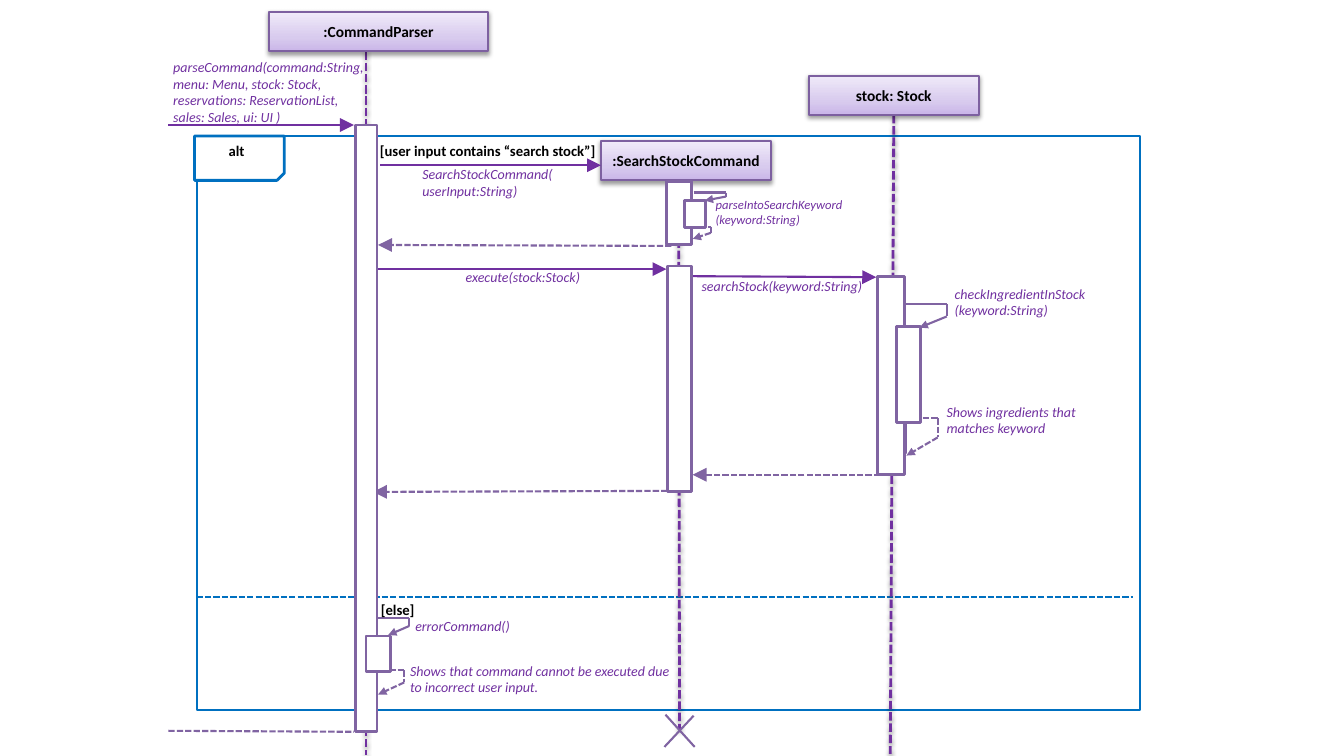
"""Build a sequence diagram of the search stock command."""
from lxml import etree
from pptx import Presentation
from pptx.dml.color import RGBColor
from pptx.enum.dml import MSO_LINE
from pptx.enum.shapes import MSO_CONNECTOR, MSO_SHAPE
from pptx.enum.text import MSO_ANCHOR, PP_ALIGN
from pptx.oxml import parse_xml
from pptx.oxml.ns import nsdecls, qn
from pptx.util import Inches, Pt

STRAIGHT = MSO_CONNECTOR.STRAIGHT
RECTANGLE, SNIPPED = MSO_SHAPE.RECTANGLE, MSO_SHAPE.SNIP_1_RECTANGLE
DASH = MSO_LINE.SQUARE_DOT
MIDDLE, TOP, CENTER = MSO_ANCHOR.MIDDLE, MSO_ANCHOR.TOP, PP_ALIGN.CENTER
BOTTOM_SIDE = 0 + 2

WHITE = RGBColor(0xFF, 0xFF, 0xFF)
BLACK = RGBColor(0x00, 0x00, 0x00)
BLUE = RGBColor(0x00, 0x70, 0xC0)
PURPLE = RGBColor(0x70, 0x30, 0xA0)
MAUVE = RGBColor(0x80, 0x64, 0xA2)
HEAD_EDGE = RGBColor(0x7D, 0x60, 0xA0)
HEAD_STOPS = [(0, RGBColor(0xC9, 0xB5, 0xE8)), (35, RGBColor(0xD8, 0xCB, 0xEE)),
              (100, RGBColor(0xF0, 0xEA, 0xF9))]

FRAME = (1.95, 1.35, 9.36, 5.69)
FRAME_TAB = (1.93, 1.35, 0.89, 0.44)
ELSE_DIVIDER = (1.95, 5.92, 11.24, 5.92)
FRAME_LABELS = [
    ("alt", 2.17, 1.32, 0.6),
    ("[user input contains “search stock”]", 3.67, 1.32, 2.5),
    ("[else]", 3.68, 5.87, 0.7),
]
PARTICIPANTS = [
    (":CommandParser", (2.67, 0.12, 2.17, 0.39), (3.63, 0.51, 3.63, 7.49)),
    (":SearchStockCommand", (5.96, 1.4, 1.69, 0.39), (6.73, 1.48, 6.74, 7.24)),
    ("stock: Stock", (8.02, 0.75, 1.69, 0.39), (8.86, 1.14, 8.83, 7.48)),
]
CALLS = [(1.67, 1.24, 3.51, 1.24), (3.77, 1.64, 5.96, 1.64),
         (3.74, 2.67, 6.61, 2.67), (6.86, 2.74, 8.69, 2.75)]
RETURNS = [(6.66, 2.44, 3.75, 2.43), (8.73, 4.71, 6.87, 4.71),
           (6.62, 4.87, 3.7, 4.88)]
FINAL_RETURN = (1.67, 7.25, 3.51, 7.26)
DESTRUCTION = [(6.89, 7.41, 6.6, 7.09), (6.88, 7.1, 6.59, 7.41)]
NESTED_EDGE = (8.97, 3.15, 8.98, 4.5)
SELF_CALLS = [
    (6.88, 1.91, 7.2, 1.95, 6.99, 1.99),
    (8.97, 3.02, 9.39, 3.14, 9.12, 3.25),
    (3.74, 6.13, 4.06, 6.21, 3.85, 6.3),
]
SELF_RETURNS = [
    (6.77, 2.25, 7.05, 2.31, 6.87, 2.37),
    (8.82, 4.15, 9.3, 4.34, 8.99, 4.52),
    (3.61, 6.65, 4.01, 6.77, 3.75, 6.89),
]
ACTIVATIONS = [
    (3.53, 1.24, 0.21, 6.02), (3.63, 6.31, 0.24, 0.35),
    (6.61, 1.8, 0.25, 0.63), (6.79, 1.99, 0.21, 0.27),
    (6.62, 2.64, 0.24, 2.24),
    (8.7, 2.74, 0.27, 1.97), (8.89, 3.24, 0.24, 0.95),
]
MESSAGE_LABELS = [
    ("parseCommand(command:String, menu: Menu, stock: Stock, "
     "reservations: ReservationList, sales: Sales, ui: UI )",
     (1.62, 0.53, 2.14, 0.77), 10),
    ("SearchStockCommand(userInput:String)", (4.09, 1.59, 1.51, 0.44), 10),
    ("parseIntoSearchKeyword(keyword:String)", (7, 1.9, 1.47, 0.4), 9),
    ("execute(stock:Stock)", (4.52, 2.61, 1.38, 0.27), 10),
    ("searchStock(keyword:String)", (6.86, 2.7, 1.81, 0.27), 10),
    ("checkIngredientInStock(keyword:String)", (9.37, 2.78, 1.51, 0.44), 10),
    ("Shows ingredients that matches keyword", (9.29, 3.95, 1.81, 0.44), 10),
    ("errorCommand()", (4.02, 6.08, 1.75, 0.27), 10),
    ("Shows that command cannot be executed due to incorrect user input.",
     (3.97, 6.52, 2.77, 0.44), 10),
]


def add_shadow(effects):
    effects.append(parse_xml(
        f'<a:outerShdw {nsdecls("a")} blurRad="40000" dist="20000" dir="5400000" '
        'rotWithShape="0"><a:srgbClr val="000000"><a:alpha val="38000"/>'
        '</a:srgbClr></a:outerShdw>'))


def add_line(page, ends, color, width=1.5, dashed=False, arrow=None, shadow=False):
    line = page.shapes.add_connector(STRAIGHT, *map(Inches, ends))
    line.line.color.rgb = color
    line.line.width = Pt(width)
    if dashed:
        line.line.dash_style = DASH
    if arrow:
        etree.SubElement(line.line._get_or_add_ln(), qn("a:tailEnd"),
                         type="triangle", w=arrow, len=arrow)
    effects = etree.SubElement(line._element.spPr, qn("a:effectLst"))
    if shadow:
        add_shadow(effects)
    return line


def add_outline(page, place, color, width, kind=RECTANGLE):
    shape = page.shapes.add_shape(kind, *map(Inches, place))
    shape.shadow.inherit = False
    shape.fill.solid()
    shape.fill.fore_color.rgb = WHITE
    shape.line.color.rgb = color
    shape.line.width = Pt(width)
    return shape


def write(shape, text, size, color, bold=False, italic=False, anchor=TOP):
    frame = shape.text_frame
    frame.word_wrap = True
    frame.vertical_anchor = anchor
    para = frame.paragraphs[0]
    para.text = text
    font = para.font
    font.name, font.size, font.color.rgb = "Calibri", Pt(size), color
    font.bold, font.italic = bold, italic
    return para


def add_label(page, text, place, size, color, **style):
    box = page.shapes.add_textbox(*map(Inches, place))
    write(box, text, size, color, **style)


def add_head(page, name, place):
    head = add_outline(page, place, HEAD_EDGE, 1.5)
    stops = "".join(f'<a:gs pos="{percent * 1000}"><a:srgbClr val="{color}"/></a:gs>'
                    for percent, color in HEAD_STOPS)
    gradient = parse_xml(f'<a:gradFill {nsdecls("a")} rotWithShape="1"><a:gsLst>{stops}'
                         '</a:gsLst><a:lin ang="16200000" scaled="0"/></a:gradFill>')
    properties = head._element.spPr
    properties.replace(properties.find(qn("a:solidFill")), gradient)
    add_shadow(properties.find(qn("a:effectLst")))
    write(head, name, 11, BLACK, bold=True, anchor=MIDDLE).alignment = CENTER
    return head


def add_self_message(page, points, dashed):
    start, top, corner, turn, tip, end = points
    add_line(page, (start, top, corner, top), MAUVE, dashed=dashed)
    add_line(page, (corner, top, corner, turn), MAUVE, dashed=dashed)
    add_line(page, (corner, turn, tip, end), MAUVE, dashed=dashed, arrow="med")


def main():
    deck = Presentation()
    deck.slide_width, deck.slide_height = Inches(13.33), Inches(7.5)
    page = deck.slides.add_slide(deck.slide_layouts[6])

    add_outline(page, FRAME, BLUE, 1.5)
    tab = add_outline(page, FRAME_TAB, BLUE, 2, SNIPPED)
    tab._element.spPr.find(qn("a:xfrm")).set("flipV", "1")
    add_line(page, ELSE_DIVIDER, BLUE, dashed=True)

    for name, place, lifeline in PARTICIPANTS:
        line = add_line(page, lifeline, PURPLE, 2, dashed=True, shadow=True)
        head = add_head(page, name, place)
        left, top, width, height = place
        if abs(left + width / 2 - lifeline[0]) < 0.02:
            line.begin_connect(head, BOTTOM_SIDE)

    for ends in CALLS:
        add_line(page, ends, PURPLE, arrow="lg")
    for ends in RETURNS:
        add_line(page, ends, MAUVE, dashed=True, arrow="lg")
    add_line(page, FINAL_RETURN, MAUVE, dashed=True)
    for ends in DESTRUCTION:
        add_line(page, ends, MAUVE)
    add_line(page, NESTED_EDGE, HEAD_EDGE, 2.25)
    for dashed, messages in ((False, SELF_CALLS), (True, SELF_RETURNS)):
        for points in messages:
            add_self_message(page, points, dashed)

    for place in ACTIVATIONS:
        add_outline(page, place, MAUVE, 2)
    for text, left, top, width in FRAME_LABELS:
        add_label(page, text, (left, top, width, 0.35), 10.5, BLACK,
                  bold=True, anchor=MIDDLE)
    for text, place, size in MESSAGE_LABELS:
        add_label(page, text, place, size, PURPLE, italic=True)

    deck.save("out.pptx")


if __name__ == "__main__":
    main()
